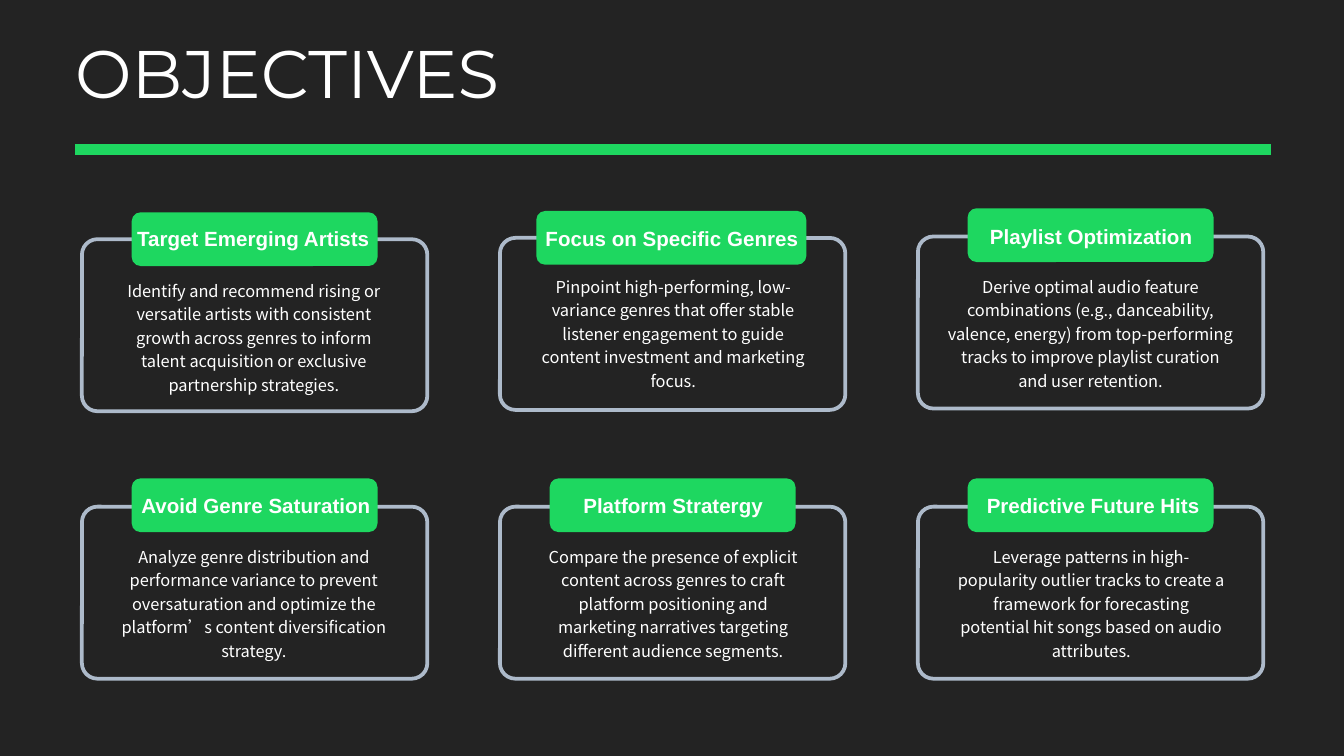
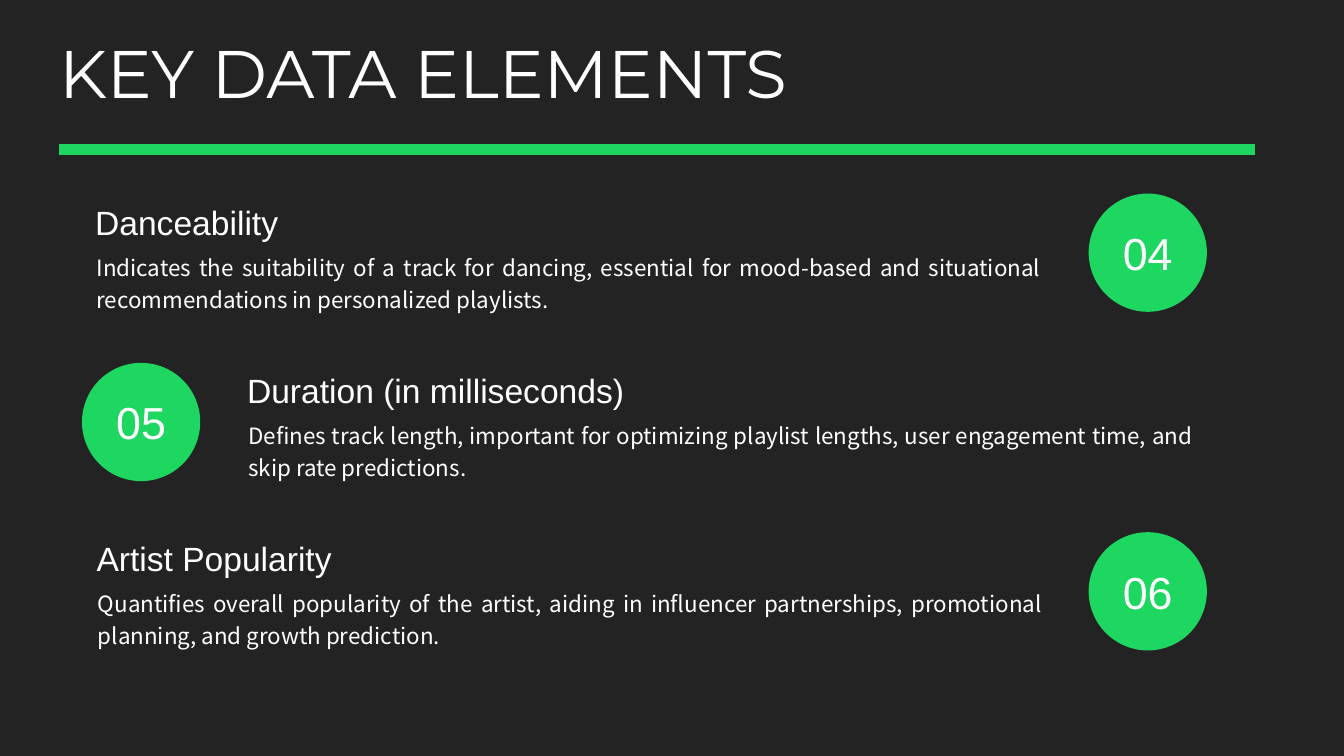
"""Builds the objectives and key data elements slides."""
from lxml import etree
from pptx import Presentation
from pptx.dml.color import RGBColor
from pptx.enum import shapes, text
from pptx.oxml import ns
from pptx.util import Inches, Pt

HUES = {"back": "232323", "green": "1ED760", "frame": "ADBACA", "white": "FFFFFF"}
HUES = {name: RGBColor.from_string(code) for name, code in HUES.items()}
HEAD, SANS, BODY = "Montserrat", "Arial", "Noto Sans CJK SC"
LEFT, MID, FULL = text.PP_ALIGN.LEFT, text.PP_ALIGN.CENTER, text.PP_ALIGN.JUSTIFY
ROUND, OVAL = shapes.MSO_SHAPE.ROUNDED_RECTANGLE, shapes.MSO_SHAPE.OVAL


def write(item, words, font, size, align=LEFT, lead=None, bold=False,
          fit=text.MSO_AUTO_SIZE.SHAPE_TO_FIT_TEXT, anchor=text.MSO_ANCHOR.TOP):
    frame = item.text_frame
    frame.word_wrap = True
    frame.auto_size = fit
    frame.vertical_anchor = anchor
    para = frame.paragraphs[0]
    para.alignment = align
    para.line_spacing = lead
    run = para.add_run()
    run.text = words
    run.font.name = font
    run.font.size = Pt(size)
    run.font.bold = bold
    run.font.color.rgb = HUES["white"]


def draw(slide, kind, x, y, w, h, fill=None, line=None):
    item = slide.shapes.add_shape(kind, Inches(x), Inches(y), Inches(w), Inches(h))
    item.shadow.inherit = False
    if fill:
        item.fill.solid()
        item.fill.fore_color.rgb = HUES[fill]
    else:
        item.fill.background()
    if line:
        item.line.color.rgb = HUES[line]
        item.line.width = Pt(2)
    else:
        item.line.fill.background()
    return item


deck = Presentation()
deck.slide_width = Inches(10)
deck.slide_height = deck.slide_width * 9 // 16
back = deck.slide_master.background.fill
back.solid()
back.fore_color.rgb = HUES["back"]

pages = []
for name, x, w in [("OBJECTIVES", 0.46, 5.2), ("KEY DATA ELEMENTS", 0.34, 6.77)]:
    slide = deck.slides.add_slide(deck.slide_layouts[5])
    title = slide.shapes.title
    title.left, title.top = Inches(x), Inches(0.18)
    title.width, title.height = Inches(w), Inches(0.68)
    write(title, name, HEAD, 36, fit=text.MSO_AUTO_SIZE.NONE)
    rule = slide.shapes.add_connector(
        shapes.MSO_CONNECTOR.STRAIGHT, Inches(x + 0.1), Inches(1.11), Inches(x + 9), Inches(1.11))
    rule.line.color.rgb = HUES["green"]
    rule.line.width = Pt(6)
    etree.SubElement(rule._element.spPr, ns.qn("a:effectLst"))
    pages.append(slide)
goals, data = pages

cards = [
    ("Target Emerging Artists", 0.83, 2.11, 0.98, 1.83, 1.78, 1.58, 1.63, 0.79, 2.01, 2.2,
     "Identify and recommend rising or versatile artists with consistent growth across genres "
     "to inform talent acquisition or exclusive partnership strategies."),
    ("Focus on Specific Genres", 3.79, 2.42, 3.99, 2.01, 1.77, 1.57, 1.63, 3.91, 1.98, 2.2,
     "Pinpoint high-performing, low-variance genres that offer stable listener engagement "
     "to guide content investment and marketing focus."),
    ("Playlist Optimization", 7.14, 1.96, 7.2, 1.83, 1.76, 1.55, 1.62, 6.95, 1.98, 2.33,
     "Derive optimal audio feature combinations (e.g., danceability, valence, energy) from "
     "top-performing tracks to improve playlist curation and user retention."),
    ("Avoid Genre Saturation", 0.87, 2.07, 0.98, 1.83, 3.77, 3.56, 3.62, 0.79, 3.99, 2.2,
     "Analyze genre distribution and performance variance to prevent oversaturation and "
     "optimize the platform’s content diversification strategy."),
    ("Platform Stratergy", 4.11, 1.8, 4.09, 1.83, 3.77, 3.56, 3.62, 3.91, 3.99, 2.2,
     "Compare the presence of explicit content across genres to craft platform positioning "
     "and marketing narratives targeting different audience segments."),
    ("Predictive Future Hits", 7.15, 1.97, 7.2, 1.83, 3.77, 3.56, 3.62, 7.02, 3.99, 2.2,
     "Leverage patterns in high-popularity outlier tracks to create a framework for "
     "forecasting potential hit songs based on audio attributes."),
]
for spot, card in enumerate(cards):
    name, left, wide, tab, broad, top, peak, high, x, low, span, words = card
    frame = draw(goals, ROUND, 0.61 + spot % 3 * 3.11, top, 2.57, 1.28, line="frame")
    frame.adjustments[0] = 0.09
    note = goals.shapes.add_textbox(Inches(x), Inches(low), Inches(span), Inches(0.99))
    write(note, words, BODY, 8.8, MID, 1.2)
    draw(goals, ROUND, tab, peak, broad, 0.4, fill="green")
    label = goals.shapes.add_textbox(Inches(left), Inches(high), Inches(wide), Inches(0.29))
    write(label, name, SANS, 11, MID, bold=True)

facts = [
    ("04", 8.1, 0.61, "Danceability",
     "Indicates the suitability of a track for dancing, essential for mood-based and "
     "situational recommendations in personalized playlists."),
    ("05", 0.61, 1.74, "Duration (in milliseconds)",
     "Defines track length, important for optimizing playlist lengths, user engagement time, "
     "and skip rate predictions."),
    ("06", 8.1, 0.62, "Artist Popularity",
     "Quantifies overall popularity of the artist, aiding in influencer partnerships, "
     "promotional planning, and growth prediction."),
]
for row, (mark, side, x, name, words) in enumerate(facts):
    disc = draw(data, OVAL, side, 1.44 + row * 1.26, 0.88, 0.88, fill="green")
    write(disc, mark, SANS, 24, MID, fit=text.MSO_AUTO_SIZE.NONE, anchor=text.MSO_ANCHOR.MIDDLE)
    top = 1.45 + row * 1.25
    head = data.shapes.add_textbox(Inches(x), Inches(top), Inches(3.33), Inches(0.4))
    write(head, name, SANS, 18)
    note = data.shapes.add_textbox(Inches(x + 0.01), Inches(top + 0.35), Inches(7.23), Inches(0.58))
    write(note, words, BODY, 12, FULL, 1.2)

deck.save("out.pptx")
